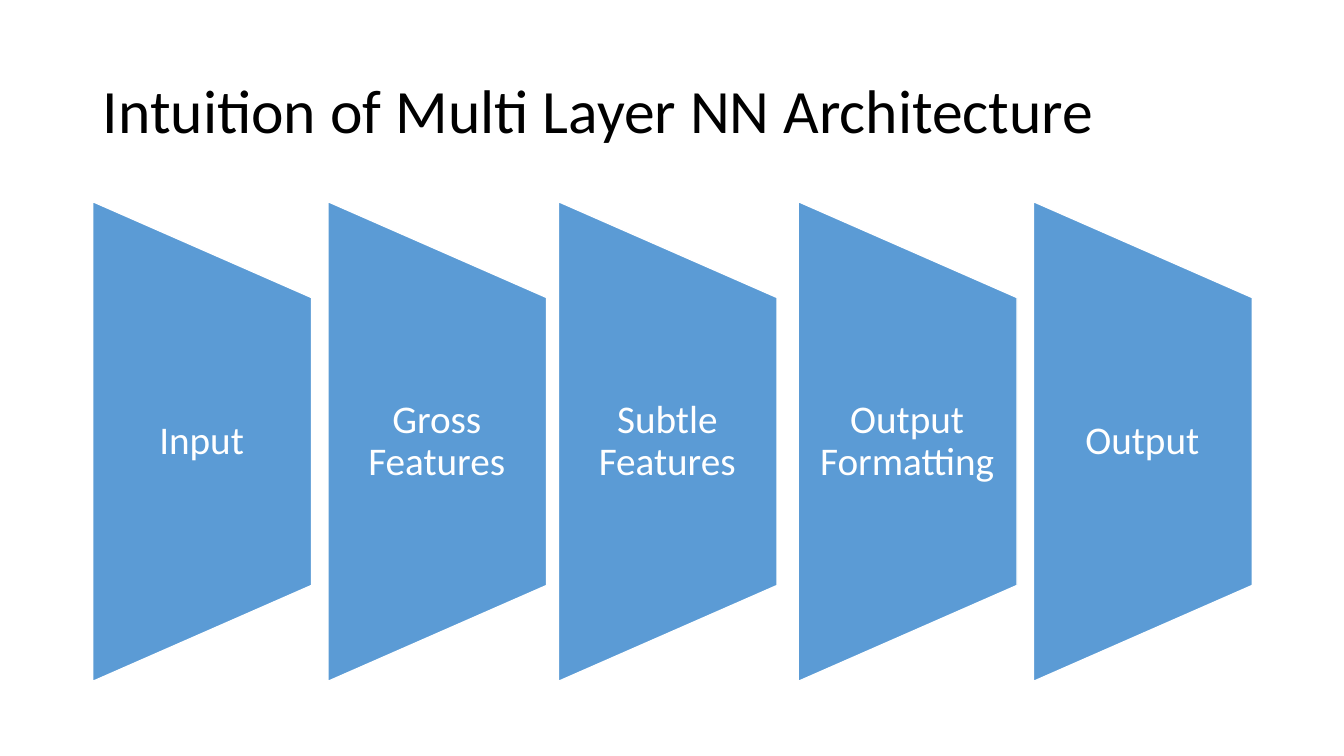
from dataclasses import dataclass
from pptx import Presentation
from pptx.dml.color import RGBColor as Rgb
from pptx.enum.shapes import MSO_SHAPE as Form
from pptx.enum.text import MSO_ANCHOR as Anchor, MSO_AUTO_SIZE as Fit, PP_ALIGN as Align
from pptx.util import Inches, Pt


@dataclass(frozen=True)
class Theme:
    font: str = "Calibri"
    ink: str = "000000"
    pale: str = "FFFFFF"
    blue: str = "5B9BD5"
    head: int = 44
    label: int = 28
    lead: float = 0.9


class Deck:
    """Slide with a row of equal columns between the side margins."""
    wide, high = 13.33, 7.5
    left, span = 0.92, 11.5
    top, tall = 2.0, 4.76
    cols, width = 5, 2.17

    def __init__(self, theme):
        self.theme = theme
        self.prs = Presentation()
        self.prs.slide_width = Inches(self.wide)
        self.prs.slide_height = Inches(self.high)
        self.slide = self.prs.slides.add_slide(self.prs.slide_layouts[5])

    def edge(self, col):
        return self.left + col * (self.span - self.width) / (self.cols - 1)

    def place(self, item, x, y, w, h):
        item.left, item.top, item.width, item.height = map(Inches, (x, y, w, h))

    def add_text(self, frame, text, size, color, align):
        frame.word_wrap = True
        frame.auto_size = Fit.NONE
        frame.vertical_anchor = Anchor.MIDDLE
        para = frame.paragraphs[0]
        para.alignment, para.line_spacing = align, self.theme.lead
        run = para.add_run()
        run.text = text
        run.font.name, run.font.size = self.theme.font, Pt(size)
        run.font.color.rgb = Rgb.from_string(color)

    def title(self, text):
        head = self.slide.shapes.title
        self.place(head, self.left, 0.4, self.span, 1.45)
        self.add_text(head.text_frame, text, self.theme.head, self.theme.ink, Align.LEFT)

    def wedge(self, col):
        # Turned a quarter left, so its length runs down the slide
        x = self.edge(col) + (self.width - self.tall) / 2
        y = self.top + (self.tall - self.width) / 2
        box = map(Inches, (x, y, self.tall, self.width))
        item = self.slide.shapes.add_shape(Form.FLOWCHART_MANUAL_OPERATION, *box)
        item.rotation = 270
        item.shadow.inherit = False
        item.fill.solid()
        item.fill.fore_color.rgb = Rgb.from_string(self.theme.blue)
        item.line.color.rgb = Rgb.from_string(self.theme.pale)
        item.line.width = Pt(1)

    def label(self, col, text):
        # The label fills the middle three fifths of the wedge
        box = (self.edge(col), self.top + self.tall / 5, self.width, self.tall * 3 / 5)
        frame = self.slide.shapes.add_textbox(*map(Inches, box)).text_frame
        frame.margin_left, frame.margin_right = Inches(0.19), Inches(0.2)
        frame.margin_top = frame.margin_bottom = 0
        self.add_text(frame, text, self.theme.label, self.theme.pale, Align.CENTER)

    def save(self):
        self.prs.save("out.pptx")


def main():
    deck = Deck(Theme())

    # Title
    deck.title("Intuition of Multi Layer NN Architecture")

    # Layers, with the middle one a hair left of its column
    layers = [(0, "Input"), (1, "Gross Features"), (1.98, "Subtle Features"),
              (3, "Output Formatting"), (4, "Output")]
    for col, name in layers:
        deck.wedge(col)
        deck.label(col, name)

    deck.save()


if __name__ == "__main__":
    main()
